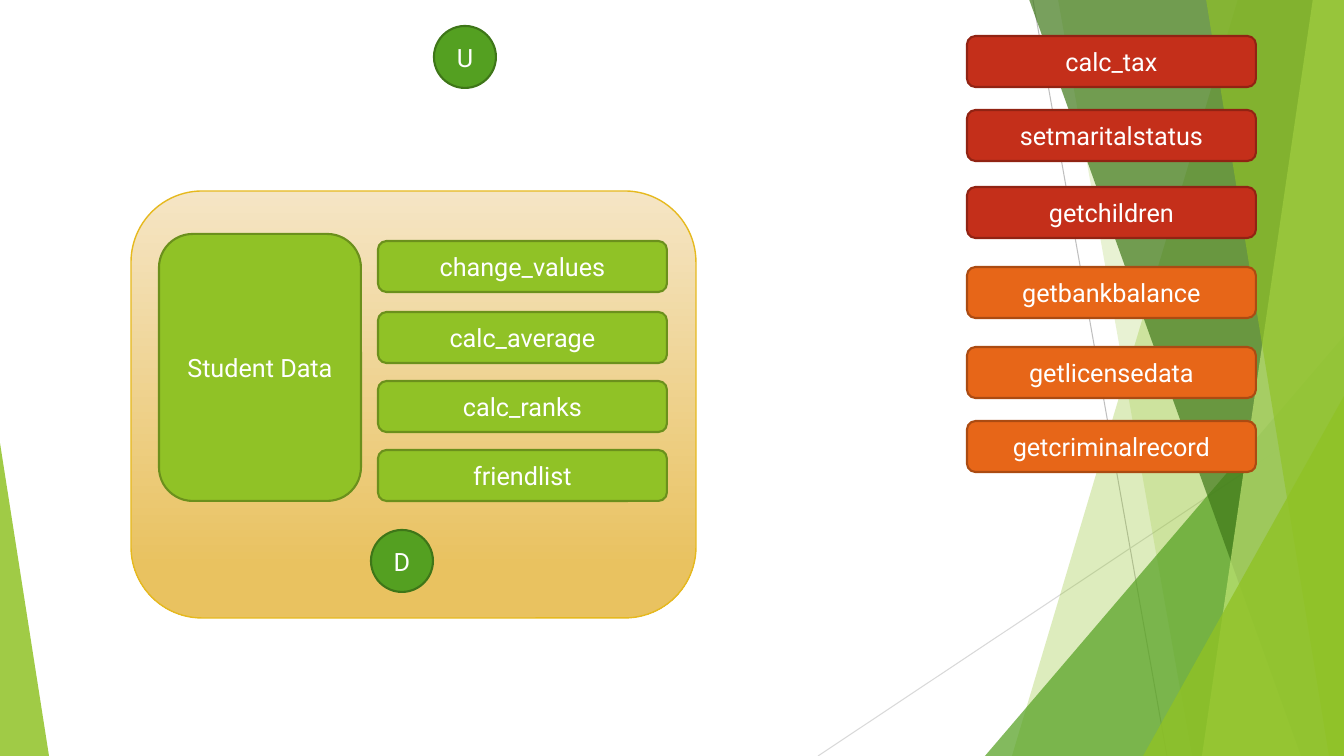
from dataclasses import dataclass

from lxml import etree
from pptx import Presentation
from pptx import util as u
from pptx.dml.color import RGBColor
from pptx.enum import shapes, text
from pptx.oxml import ns

WIDTH, HEIGHT = 1344, 756
SCALE = u.Inches(7.5) / HEIGHT


def px(length):
    return u.Emu(round(length * SCALE))


def write_text(shape, content, *, font, size, color, align=text.PP_ALIGN.CENTER):
    frame = shape.text_frame
    frame.word_wrap = True
    frame.vertical_anchor = text.MSO_ANCHOR.MIDDLE
    paragraph = frame.paragraphs[0]
    paragraph.alignment = align
    run = paragraph.add_run()
    run.text = content
    run.font.name = font
    run.font.size = u.Pt(size)
    run.font.color.rgb = RGBColor.from_string(color)


@dataclass(frozen=True)
class Theme:
    font: str = "Roboto"
    label_size: int = 18
    label: str = "FFFFFF"
    border: float = 1.5
    hairline: float = 0.75
    # Fill and border pairs
    lime: tuple = ("90C226", "6B901C")
    green: tuple = ("54A021", "3E7618")
    red: tuple = ("C42F1A", "912313")
    orange: tuple = ("E76618", "AB4B12")
    # Container
    panel_top: str = "F5E5C5"
    panel_bottom: str = "E9C260"
    panel_border: str = "E6B91E"
    # Background facets
    forest: str = "3F7819"
    pale_lime: str = "C0E474"
    gray: str = "BFBFBF"
    light_gray: str = "D9D9D9"


class SlideBuilder:
    def __init__(self, slide, theme):
        self.slide = slide
        self.theme = theme

    def line(self, start, end, color):
        connector = self.slide.shapes.add_connector(
            shapes.MSO_CONNECTOR.STRAIGHT, *map(px, start + end))
        connector.line.color.rgb = RGBColor.from_string(color)
        connector.line.width = u.Pt(self.theme.hairline)
        etree.SubElement(connector._element.spPr, ns.qn("a:effectLst"))

    def tint(self, shape, color, opacity):
        shape.shadow.inherit = False
        shape.line.fill.background()
        shape.fill.solid()
        shape.fill.fore_color.rgb = RGBColor.from_string(color)
        color_element = next(shape._element.spPr.iter(ns.qn("a:srgbClr")))
        alpha = etree.SubElement(color_element, ns.qn("a:alpha"))
        alpha.set("val", str(opacity * 1000))

    def facet(self, top_x, bottom_x, color, opacity):
        """Band from a slanted left edge to the right side of the slide."""
        builder = self.slide.shapes.build_freeform(top_x, -1, SCALE)
        builder.add_line_segments(
            [(WIDTH, -1), (WIDTH, HEIGHT), (bottom_x, HEIGHT)], close=True)
        self.tint(builder.convert_to_shape(), color, opacity)

    def triangle(self, left, top, width, apex, color, opacity):
        shape = self.slide.shapes.add_shape(
            shapes.MSO_SHAPE.ISOSCELES_TRIANGLE,
            px(left), px(top), px(width), px(HEIGHT - top))
        shape.adjustments[0] = apex
        self.tint(shape, color, opacity)

    def outlined(self, preset, box, border, width):
        shape = self.slide.shapes.add_shape(preset, *map(px, box))
        shape.shadow.inherit = False
        shape.line.color.rgb = RGBColor.from_string(border)
        shape.line.width = u.Pt(width)
        return shape

    def panel(self, box):
        theme = self.theme
        shape = self.outlined(
            shapes.MSO_SHAPE.ROUNDED_RECTANGLE, box, theme.panel_border, 1)
        shape.fill.gradient()
        shape.fill.gradient_angle = 270
        stops = ((0, theme.panel_top), (0.88, theme.panel_bottom))
        for stop, (position, color) in zip(shape.fill.gradient_stops, stops):
            stop.position = position
            stop.color.rgb = RGBColor.from_string(color)

    def node(self, label, box, colors, preset=shapes.MSO_SHAPE.ROUNDED_RECTANGLE):
        theme = self.theme
        fill, border = colors
        shape = self.outlined(preset, box, border, theme.border)
        shape.fill.solid()
        shape.fill.fore_color.rgb = RGBColor.from_string(fill)
        write_text(shape, label, font=theme.font, size=theme.label_size,
                   color=theme.label)

    def function_box(self, label, left, top, colors):
        self.node(label, (left, top, 289, 51), colors)

    def circle(self, label, left, top):
        self.node(label, (left, top, 62, 62), self.theme.green,
                  shapes.MSO_SHAPE.OVAL)


def main():
    presentation = Presentation()
    presentation.slide_width, presentation.slide_height = px(WIDTH), px(HEIGHT)
    slide = presentation.slides.add_slide(presentation.slide_layouts[6])
    theme = Theme()
    builder = SlideBuilder(slide, theme)
    lime, green = theme.lime[0], theme.green[0]

    # Faceted background
    builder.line((1033, 0), (1167, HEIGHT), theme.gray)
    builder.line((WIDTH, 406), (818, HEIGHT), theme.light_gray)
    builder.facet(1238, 1012, lime, 30)
    builder.facet(1058, 1192, lime, 20)
    builder.triangle(985, 336, 359, 1, green, 72)
    builder.facet(1029, 1301, theme.forest, 70)
    builder.facet(1313, 1202, theme.pale_lime, 70)
    builder.facet(1206, 1329, lime, 65)
    builder.triangle(1143, 396, 201, 1, lime, 80)
    builder.triangle(0, 443, 49, 0, lime, 85)

    # Student data with its functions
    builder.panel((131, 191, 565, 427))
    builder.node("Student Data", (159, 234, 202, 267), theme.lime)
    student_functions = (
        ("change_values", 241),
        ("calc_average", 312),
        ("calc_ranks", 381),
        ("friendlist", 450),
    )
    for label, top in student_functions:
        builder.function_box(label, 378, top, theme.lime)

    # Functions outside the container
    outside_functions = (
        ("calc_tax", 36, theme.red),
        ("setmaritalstatus", 110, theme.red),
        ("getchildren", 187, theme.red),
        ("getbankbalance", 267, theme.orange),
        ("getlicensedata", 347, theme.orange),
        ("getcriminalrecord", 421, theme.orange),
    )
    for label, top, colors in outside_functions:
        builder.function_box(label, 967, top, colors)

    # Markers
    builder.circle("U", 434, 26)
    builder.circle("D", 371, 530)

    presentation.save("out.pptx")


if __name__ == "__main__":
    main()
